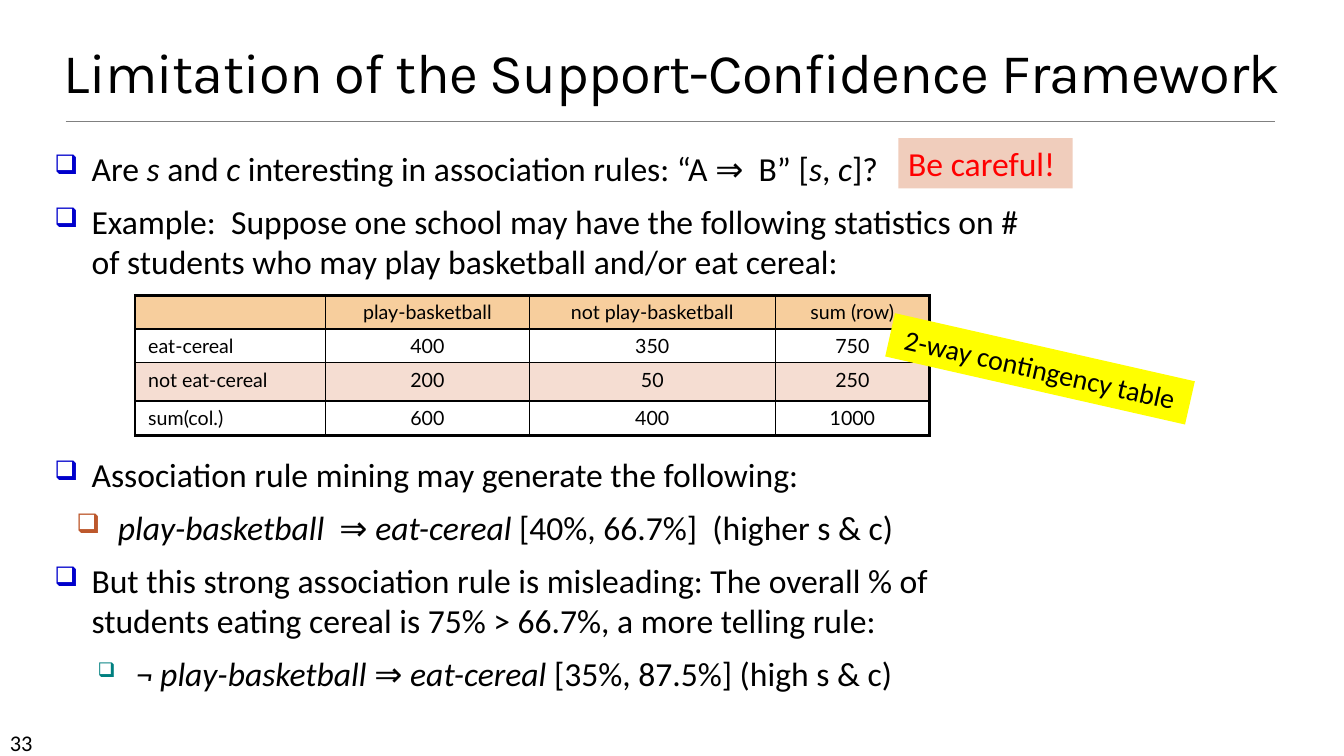
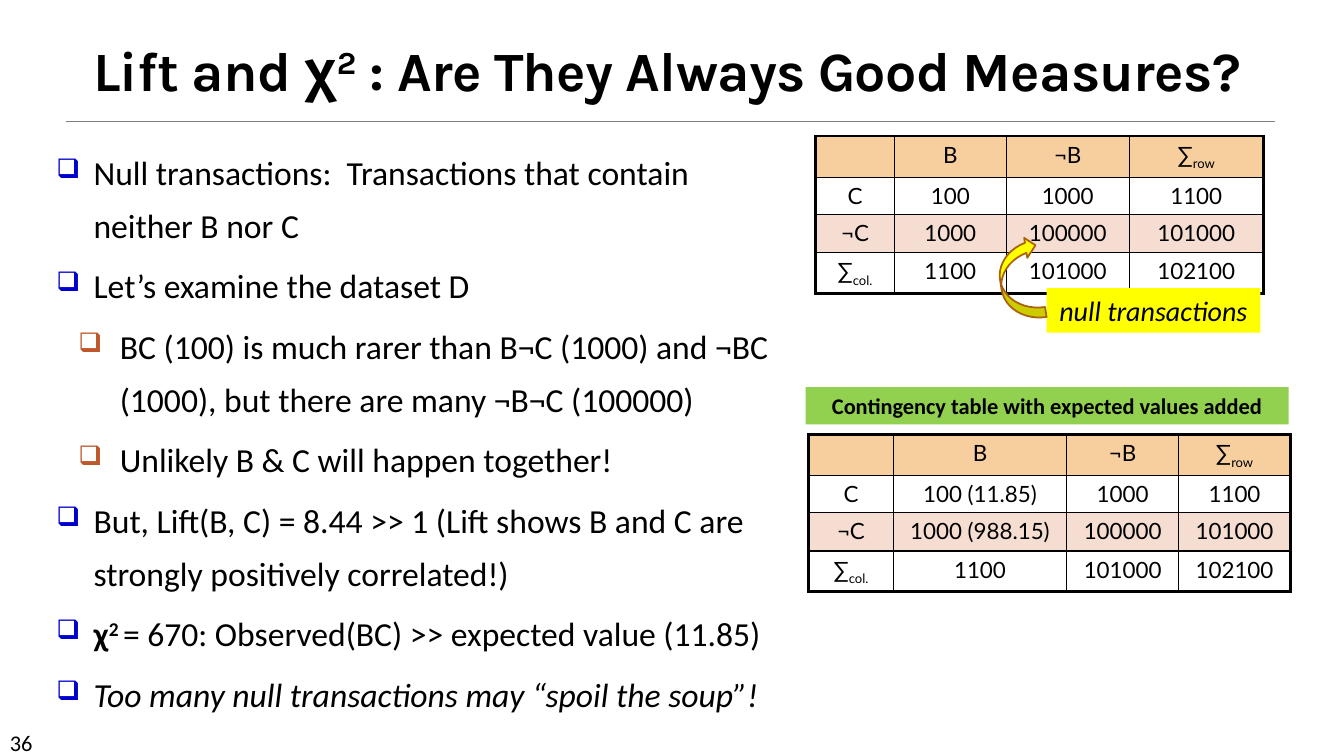
from lxml import etree
from pptx import Presentation
from pptx.dml.color import RGBColor
from pptx.enum.shapes import MSO_CONNECTOR, MSO_SHAPE
from pptx.enum.text import MSO_ANCHOR, PP_ALIGN
from pptx.oxml.ns import qn
from pptx.util import Inches, Pt

SLIDE_W, SLIDE_H = 13.33, 7.5
BLACK, WHITE, GRAY = "000000", "FFFFFF", "808080"
YELLOW, GREEN, PEACH, RED = "FFFF00", "92D050", "F0CDBC", "FF0000"
HEAD_FILL, STRIPE_FILL, ARROW_EDGE = "F7CE9D", "F5DDD2", "A9610D"
THIN, THICK = 1, 2.25
CENTER, LEFT = PP_ALIGN.CENTER, PP_ALIGN.LEFT
ITALIC, BOLD = {"italic": True}, {"bold": True}
SUB = {"baseline": -25}

BULLETS = {
    "main": (0.37, 0.37, "0000CC", 80),
    "sub": (0.63, 0.41, "BD582C", 80),
    "deep": (0.81, 0.38, "008080", 60),
}

ROW_SUM = ["∑", ("row", SUB)]
COL_SUM = ["∑", ("col.", SUB)]
COUNT_HEAD = ["", "B", "¬B", ROW_SUM]
COUNT_TOTALS = [COL_SUM, "1100", "101000", "102100"]
COUNT_ROWS = [0.41, 0.36, 0.38, 0.4]

SLIDES = [
    {
        "number": "33",
        "title": ["Limitation of the Support-Confidence Framework"],
        "title_box": (0, 0.42, SLIDE_W, 0.67),
        "title_format": {"size": 40},
        "body_box": (0.44, 1.42, 10, 5.58),
        "spacing": {"after": 3},
        "body": [
            ("main", ["Are ", ("s", ITALIC), " and ", ("c ", ITALIC),
                      "interesting in association rules: “A ⇒  B” [",
                      ("s", ITALIC), ", ", ("c", ITALIC), "]?"], 0),
            ("main", ["Example:  Suppose one school may have the following statistics on # "
                      "of students who may play basketball and/or eat cereal:"], 6),
            ("main", ["Association rule mining may generate the following:"], 120),
            ("sub", [("play-basketball  ", ITALIC), "⇒ ", ("eat-cereal", ITALIC),
                     " [40%, 66.7%]  (higher s & c)"], 6),
            ("main", ["But this strong association rule is misleading: The overall % of "
                      "students eating cereal is 75% > 66.7%, a more telling rule:"], 6),
            ("deep", [("¬ play-basketball ", ITALIC), "⇒ ", ("eat-cereal", ITALIC),
                      " [35%, 87.5%] (high s & c)"], 6),
        ],
        "tables": [{
            "at": (1.34, 2.93), "size": 14, "first_align": LEFT,
            "cols": [1.89, 2.02, 2.44, 1.53], "rows": [0.33, 0.33, 0.38, 0.34],
            "cells": [
                ["", "play-basketball", "not play-basketball", "sum (row)"],
                ["eat-cereal", "400", "350", "750"],
                ["not eat-cereal", "200", "50", "250"],
                ["sum(col.)", "600", "400", "1000"],
            ],
        }],
        "labels": [
            ("2-way contingency table", (8.79, 3.44, 3.05, 0.44), YELLOW, 12.8,
             {"size": 20, "align": CENTER}),
            ("Be careful!", (8.91, 1.37, 1.73, 0.5), PEACH, 0,
             {"size": 24, "color": RED}),
        ],
    },
    {
        "number": "36",
        "title": ["Lift and ", ("χ", {"font": "Noto Sans CJK TC"}),
                  ("2", {"baseline": 30}), " : Are They Always Good Measures?"],
        "title_box": (0.56, 0.34, 12.11, 0.73),
        "title_format": {"size": 39.6, "bold": True},
        "body_box": (0.46, 1.34, 7.51, 5.81),
        "spacing": {"line": 1.3},
        "body": [
            ("main", ["Null transactions:  Transactions that contain neither B nor C"], 0),
            ("main", ["Let’s examine the dataset D"], 6),
            ("sub", ["BC (100) is much rarer than B¬C (1000) and ¬BC (1000), "
                     "but there are many ¬B¬C (100000)"], 6),
            ("sub", ["Unlikely B & C will happen together!"], 6),
            ("main", ["But, Lift(B, C) = 8.44 >> 1 (Lift shows B and C are "
                      "strongly positively correlated!)"], 6),
            ("main", [("χ", BOLD), ("2 ", {"bold": True, "baseline": 30}),
                      "= 670: Observed(BC) >> expected value (11.85)"], 6),
            ("main", [("Too many null transactions may “spoil the soup”!", ITALIC)], 6),
        ],
        "tables": [
            {
                "at": (8.09, 1.35), "size": 16, "first_align": CENTER,
                "cols": [0.78, 1.11, 1.22, 1.33], "rows": COUNT_ROWS,
                "cells": [
                    COUNT_HEAD,
                    ["C", "100", "1000", "1100"],
                    ["¬C", "1000", "100000", "101000"],
                    COUNT_TOTALS,
                ],
            },
            {
                "at": (8.02, 4.31), "size": 16, "first_align": CENTER,
                "cols": [0.84, 1.72, 1.11, 1.11], "rows": COUNT_ROWS,
                "cells": [
                    COUNT_HEAD,
                    ["C", "100 (11.85)", "1000", "1100"],
                    ["¬C", "1000 (988.15)", "100000", "101000"],
                    COUNT_TOTALS,
                ],
            },
        ],
        "labels": [
            ("null transactions", (10.38, 2.86, 2.12, 0.44), YELLOW, 0,
             {"size": 20, "italic": True, "align": CENTER}),
            ("Contingency table with expected values added", (7.99, 3.84, 4.79, 0.37),
             GREEN, 0, {"size": 16, "bold": True, "align": CENTER}),
        ],
        "arrow": ((9.92, 2.36, 0.4, 0.82), 171.2),
    },
]


def rgb(code):
    return RGBColor.from_string(code)


def inches(lengths):
    return [Inches(length) for length in lengths]


def write(paragraph, content, font="Calibri", size=24, color=BLACK, align=LEFT,
          bold=False, italic=False, baseline=0, tracking=0, line=None, before=0, after=0):
    paragraph.alignment = align
    paragraph.space_before, paragraph.space_after = Pt(before), Pt(after)
    if line:
        paragraph.line_spacing = line
    base = {"font": font, "bold": bold, "italic": italic, "baseline": baseline}
    for part in [content] if isinstance(content, str) else content:
        text, own = (part, {}) if isinstance(part, str) else part
        if not text:
            paragraph._p.get_or_add_endParaRPr().set("sz", str(int(size * 100)))
            continue
        style = {**base, **own}
        run = paragraph.add_run()
        run.text = text
        run.font.name, run.font.size = style["font"], Pt(size)
        run.font.bold, run.font.italic = style["bold"], style["italic"]
        run.font.color.rgb = rgb(color)
        props = run._r.get_or_add_rPr()
        if style["baseline"]:
            props.set("baseline", str(style["baseline"] * 1000))
        if tracking:
            props.set("spc", str(int(tracking * 100)))


def add_bullet(paragraph, level):
    indent, hang, color, percent = BULLETS[level]
    props = paragraph._p.get_or_add_pPr()
    props.set("marL", str(Inches(indent)))
    props.set("indent", str(-Inches(hang)))
    tint = etree.SubElement(props, qn("a:buClr"))
    etree.SubElement(tint, qn("a:srgbClr"), val=color)
    etree.SubElement(props, qn("a:buSzPct"), val=str(percent * 1000))
    etree.SubElement(props, qn("a:buChar"), char="❑")


def add_frame(slide, box):
    frame = slide.shapes.add_textbox(*inches(box)).text_frame
    frame.word_wrap = True
    return frame


def add_base(slide, page):
    title = slide.shapes.title
    title.left, title.top, title.width, title.height = inches(page["title_box"])
    title.text_frame.vertical_anchor = MSO_ANCHOR.BOTTOM
    title.text_frame.word_wrap = True
    write(title.text_frame.paragraphs[0], page["title"], font="Karla", align=CENTER,
          line=0.85, tracking=-0.5, **page["title_format"])
    rule = slide.shapes.add_connector(MSO_CONNECTOR.STRAIGHT, *inches((0.65, 1.2, 12.65, 1.2)))
    rule.line.color.rgb = rgb(GRAY)
    rule.line.width = Pt(0.5)
    etree.SubElement(rule._element.spPr, qn("a:effectLst"))
    write(add_frame(slide, (0, 7.18, 1.17, 0.3)).paragraphs[0], page["number"], size=16)


def add_body(slide, page):
    frame = add_frame(slide, page["body_box"])
    for index, (level, content, before) in enumerate(page["body"]):
        paragraph = frame.add_paragraph() if index else frame.paragraphs[0]
        add_bullet(paragraph, level)
        write(paragraph, content, before=before, **page["spacing"])


def add_borders(cell, edges):
    props = cell._tc.get_or_add_tcPr()
    for side, outer in edges:
        border = etree.SubElement(props, qn("a:ln" + side), w=str(Pt(THICK if outer else THIN)))
        fill = etree.SubElement(border, qn("a:solidFill"))
        etree.SubElement(fill, qn("a:srgbClr"), val=BLACK)


def add_counts(slide, counts):
    cols, rows = counts["cols"], counts["rows"]
    box = (*counts["at"], sum(cols), sum(rows))
    table = slide.shapes.add_table(len(rows), len(cols), *inches(box)).table
    table.first_row = table.horz_banding = False
    for column, width in zip(table.columns, cols):
        column.width = Inches(width)
    fills = [HEAD_FILL, WHITE, STRIPE_FILL, WHITE]
    for r, (height, fill) in enumerate(zip(rows, fills)):
        table.rows[r].height = Inches(height)
        for c, content in enumerate(counts["cells"][r]):
            cell = table.cell(r, c)
            add_borders(cell, [("L", c == 0), ("R", c == len(cols) - 1),
                               ("T", r == 0), ("B", r == len(rows) - 1)])
            cell.fill.solid()
            cell.fill.fore_color.rgb = rgb(fill)
            cell.margin_left = cell.margin_right = Inches(0.13)
            cell.margin_top = cell.margin_bottom = Inches(0.05)
            write(cell.text_frame.paragraphs[0], content, font="Lato", size=counts["size"],
                  align=CENTER if c else counts["first_align"])


def add_filled(slide, preset, box, fill, rotation):
    shape = slide.shapes.add_shape(preset, *inches(box))
    shape.shadow.inherit = False
    shape.rotation = rotation
    shape.fill.solid()
    shape.fill.fore_color.rgb = rgb(fill)
    shape.line.fill.background()
    return shape


def add_label(slide, text, box, fill, rotation, style):
    frame = add_filled(slide, MSO_SHAPE.RECTANGLE, box, fill, rotation).text_frame
    frame.word_wrap = True
    write(frame.paragraphs[0], text, **style)


def add_arrow(slide, box, rotation):
    arrow = add_filled(slide, MSO_SHAPE.CURVED_LEFT_ARROW, box, YELLOW, rotation)
    arrow.line.color.rgb = rgb(ARROW_EDGE)
    arrow.line.width = Pt(1.25)


def main():
    deck = Presentation()
    deck.slide_width, deck.slide_height = inches((SLIDE_W, SLIDE_H))
    title_only = deck.slide_layouts[5]
    for page in SLIDES:
        slide = deck.slides.add_slide(title_only)
        add_base(slide, page)
        add_body(slide, page)
        for counts in page["tables"]:
            add_counts(slide, counts)
        for label in page["labels"]:
            add_label(slide, *label)
        if "arrow" in page:
            add_arrow(slide, *page["arrow"])
    deck.save("out.pptx")


if __name__ == "__main__":
    main()
